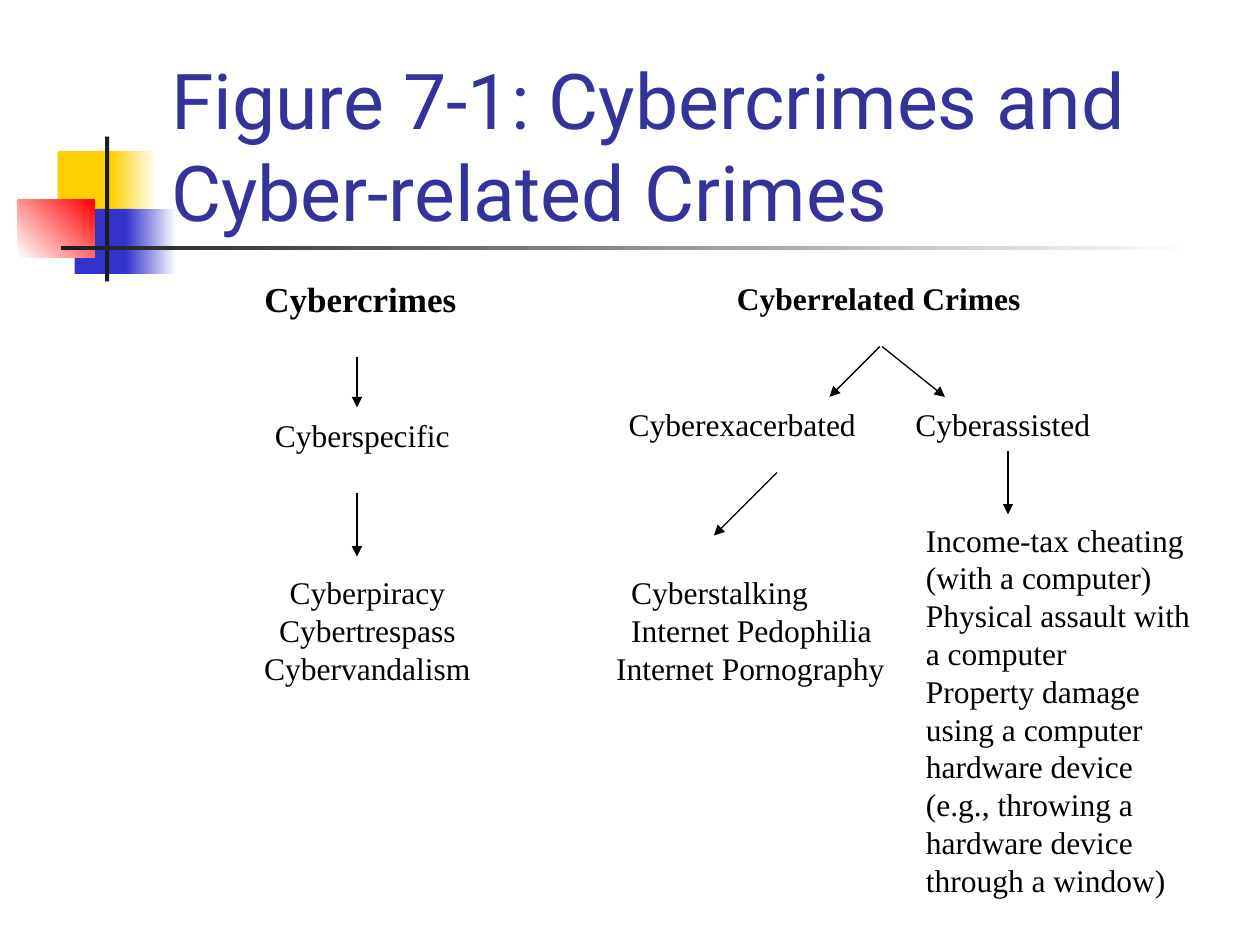
"""Build the slide on cybercrimes and cyber-related crimes."""
from lxml import etree
from pptx import Presentation
from pptx import util as u
from pptx.dml.color import RGBColor
from pptx.enum import shapes, text
from pptx.oxml.ns import qn

COLORS = {"yellow": "FFCF01", "blue": "3333CC", "red": "FF0000", "white": "FFFFFF",
          "dark": "1C1C1C", "title": "333399", "black": "000000"}

prs = Presentation()
prs.slide_width, prs.slide_height = u.Inches(10), u.Inches(7.5)
COL, ROW = prs.slide_width / 120, prs.slide_height / 90
s = prs.slides.add_slide(prs.slide_layouts[5])


def rgb(name):
    return RGBColor.from_string(COLORS[name])


def write(tf, lines, size=18, font="Times New Roman", color="black", bold=False,
          align=text.PP_ALIGN.LEFT, anchor=text.MSO_ANCHOR.TOP, indents=()):
    tf.word_wrap = True
    tf.auto_size = text.MSO_AUTO_SIZE.NONE
    tf.vertical_anchor = anchor
    for i, line in enumerate(lines):
        p = tf.paragraphs[0] if i == 0 else tf.add_paragraph()
        p.alignment = align
        if i < len(indents):
            p._p.get_or_add_pPr().set("marL", str(u.Inches(indents[i])))
        r = p.add_run()
        r.text = line
        r.font.size, r.font.name, r.font.bold = u.Pt(size), font, bold
        r.font.color.rgb = rgb(color)


decor = [
    (5.5, 14.4, 5.8, 6.2, ["yellow"], 0),
    (10.6, 14.4, 4.3, 6.2, ["yellow", "white"], 0),
    (7.1, 19.9, 5.5, 6.2, ["blue"], 0),
    (12, 19.9, 4.8, 6.2, ["blue", "white"], 0),
    (1.7, 19, 7.3, 5.5, ["white", "red"], 45),
    (10, 13, 0.4, 13.8, ["dark"], 0),
    (5.8, 23.4, 108, 0.4, ["dark", "white"], 0),
]
for x, y, w, h, names, angle in decor:
    sp = s.shapes.add_shape(shapes.MSO_SHAPE.RECTANGLE, int(x * COL), int(y * ROW),
                            int(w * COL), int(h * ROW))
    sp.shadow.inherit = False
    sp.line.fill.background()
    if len(names) == 1:
        sp.fill.solid()
        sp.fill.fore_color.rgb = rgb(names[0])
    else:
        sp.fill.gradient()
        sp.fill.gradient_angle = angle
        for stop, position, name in zip(sp.fill.gradient_stops, (0, 1), names):
            stop.position = position
            stop.color.rgb = rgb(name)

title = s.shapes.title
title.left, title.top = int(15.1 * COL), int(8.2 * ROW)
title.width, title.height = int(102.2 * COL), int(15 * ROW)
write(title.text_frame, ["Figure 7-1: Cybercrimes and Cyber-related Crimes"], size=44,
      font="Roboto", color="title", anchor=text.MSO_ANCHOR.BOTTOM)
s.shapes._spTree.append(title._element)

labels = [
    (24, 25.8, 24, 5.2, ["Cybercrimes"], {"size": 20, "bold": True}),
    (25, 39, 21, 4.8, ["Cyberspecific"], {}),
    (23, 54, 24, 12, ["Cyberpiracy Cybertrespass", "Cybervandalism"],
     {"align": text.PP_ALIGN.CENTER}),
    (69, 26, 32, 4.8, ["Cyberrelated Crimes"], {"bold": True}),
    (58.7, 38, 25, 4.8, ["Cyberexacerbated"], {}),
    (86, 38, 25, 4.8, ["Cyberassisted"], {}),
    (57.5, 54, 31, 12, ["Cyberstalking", "Internet Pedophilia", "Internet Pornography"],
     {"indents": (0.12, 0.12)}),
    (87, 49, 28, 37.2,
     ["Income-tax cheating (with a computer)", "Physical assault with a computer",
      "Property damage", "using a computer",
      "hardware device (e.g., throwing a hardware device through a window)"], {}),
]
for x, y, w, h, lines, style in labels:
    sp = s.shapes.add_textbox(int(x * COL), int(y * ROW), int(w * COL), int(h * ROW))
    write(sp.text_frame, lines, **style)

arrows = [
    (34, 34, 34, 38.8), (34, 47, 34, 53),
    (83.8, 33, 79, 37.8), (84, 33, 90, 37.8),
    (74, 45, 68, 51), (96, 43, 96, 49),
]
for x1, y1, x2, y2 in arrows:
    c = s.shapes.add_connector(shapes.MSO_CONNECTOR.STRAIGHT, int(x1 * COL), int(y1 * ROW),
                               int(x2 * COL), int(y2 * ROW))
    c.line.width = u.Pt(0.75)
    c.line.color.rgb = rgb("black")
    etree.SubElement(c.line._get_or_add_ln(), qn("a:tailEnd"), type="triangle")
    etree.SubElement(c._element.spPr, qn("a:effectLst"))

prs.save("out.pptx")
